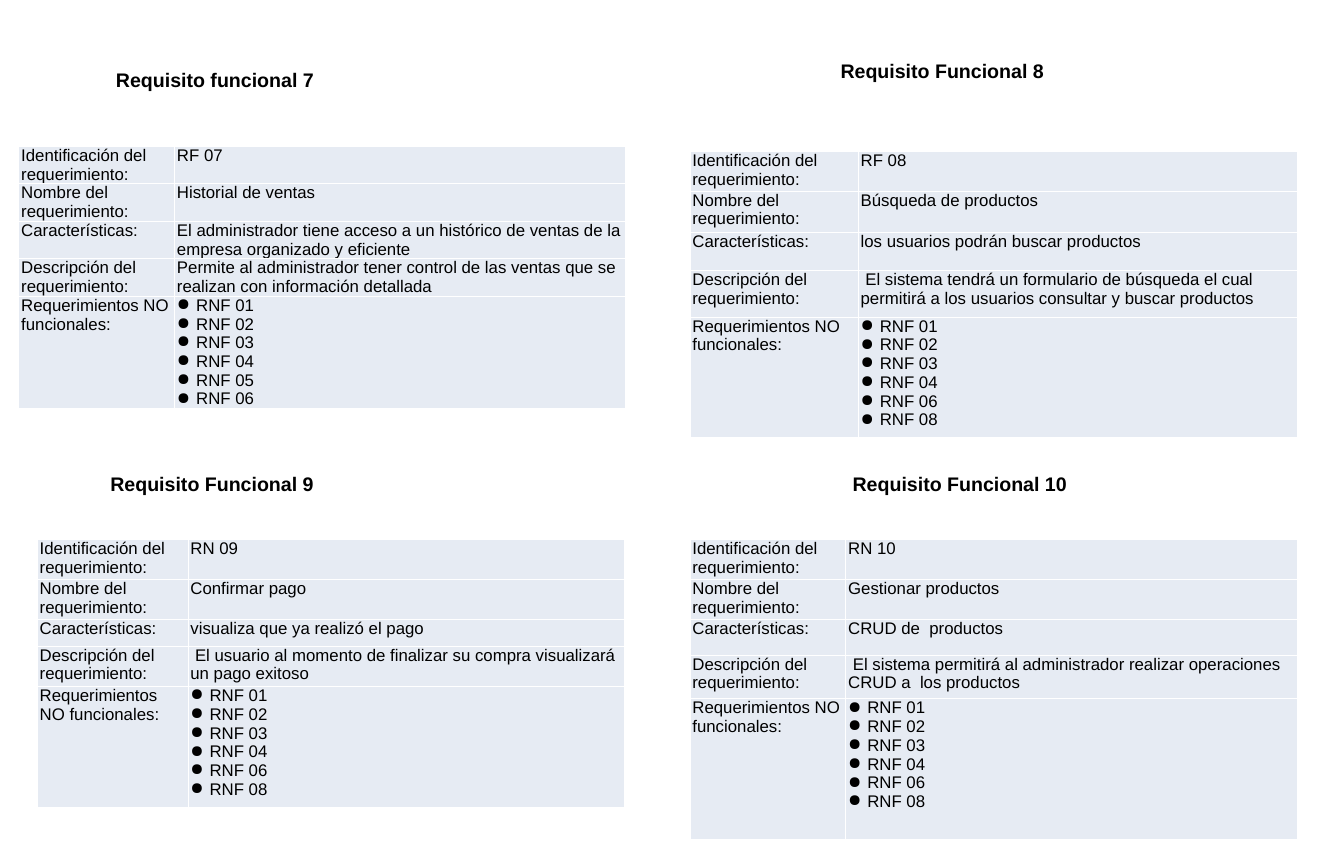
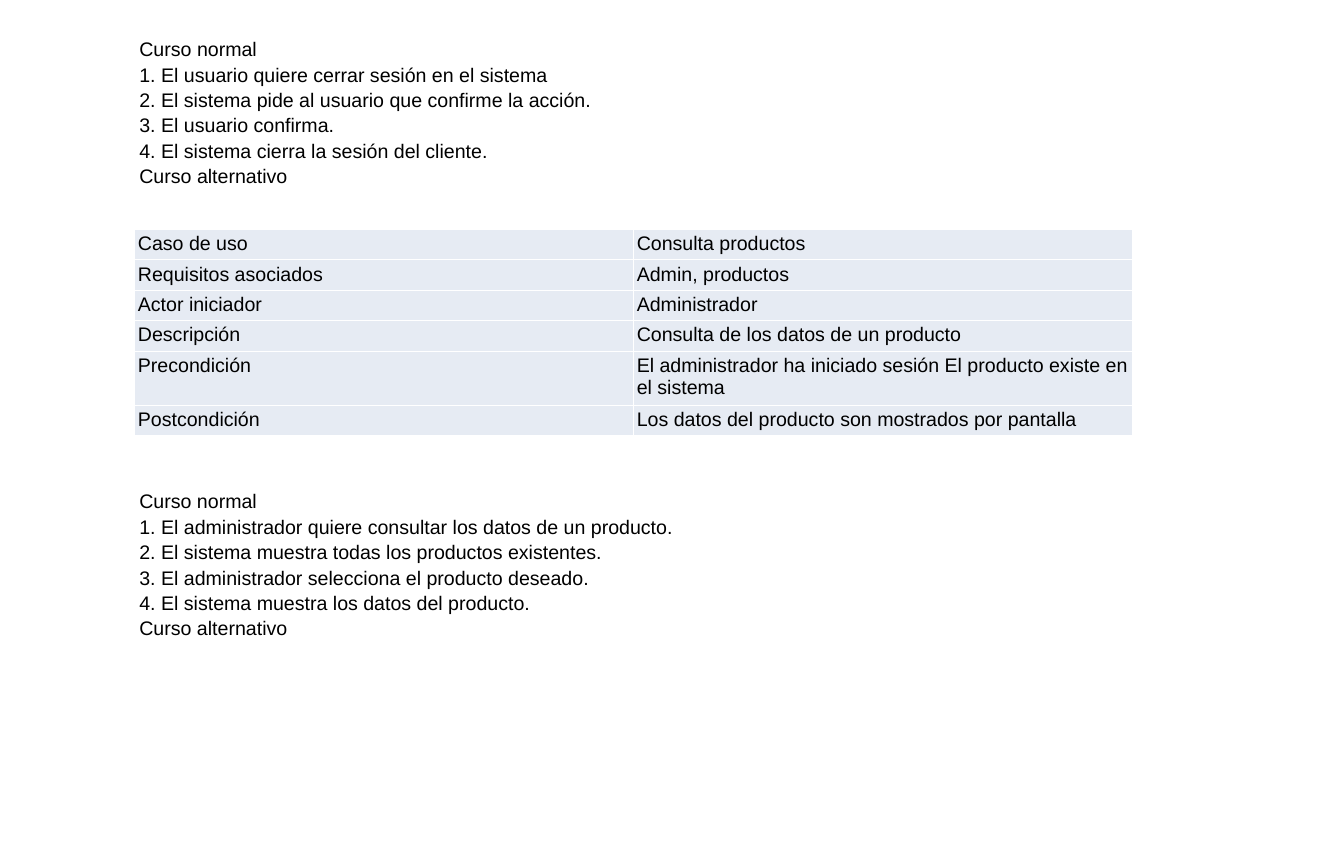
from lxml import etree
from pptx import Presentation
from pptx import util as u
from pptx.dml.color import RGBColor
from pptx.enum import text
from pptx.oxml import ns

WIDTH, HEIGHT = 26.67, 17.22
FONT, INK, CELL, RULE = "Arial", "000000", "E6EBF3", "FFFFFF"
TITLE_ONLY, BLANK = 5, 6
LABELS = ["Identificación del requerimiento:", "Nombre del requerimiento:", "Características:",
          "Descripción del requerimiento:", "Requerimientos NO funcionales:"]
BULLET_INDENT = u.Inches(0.38)

REQUIREMENTS = [
    dict(heading="Requisito funcional 7", heading_at=(8.25, 7.55), at=(1.39, 16.84),
         cols=(11.59, 33.56), rows=(4.3, 4.3, 4.3, 4.3, 12.95), rnf=(1, 2, 3, 4, 5, 6),
         values=["RF 07", "Historial de ventas",
                 "El administrador tiene acceso a un histórico de ventas de la empresa organizado y eficiente",
                 "Permite al administrador tener control de las ventas que se realizan con información detallada"]),
    dict(heading="Requisito Funcional 8", heading_at=(62.17, 6.5), at=(51.33, 17.42),
         cols=(12.52, 32.7), rows=(4.59, 4.76, 4.36, 5.4, 13.9), rnf=(1, 2, 3, 4, 6, 8),
         values=["RF 08", "Búsqueda de productos", "los usuarios podrán buscar productos",
                 " El sistema tendrá un formulario de búsqueda el cual permitirá a los usuarios "
                 "consultar y buscar productos"]),
    dict(heading="Requisito Funcional 9", heading_at=(7.84, 54.12), at=(2.77, 62.14),
         cols=(11.21, 32.51), rows=(4.6, 4.65, 3.02, 4.7, 13.94), rnf=(1, 2, 3, 4, 6, 8),
         values=["RN 09", "Confirmar pago", "visualiza que ya realizó el pago",
                 " El usuario al momento de finalizar su compra visualizará un pago exitoso"]),
    dict(heading="Requisito Funcional 10", heading_at=(63.07, 54.12), at=(51.33, 62.14),
         cols=(11.59, 33.63), rows=(4.6, 4.65, 4.07, 5.05, 16.2), rnf=(1, 2, 3, 4, 6, 8),
         values=["RN 10", "Gestionar productos", "CRUD de  productos",
                 " El sistema permitirá al administrador realizar operaciones CRUD a  los productos"]),
]

LOGOUT_STEPS = ["Curso normal", "1. El usuario quiere cerrar sesión en el sistema",
                "2. El sistema pide al usuario que confirme la acción.", "3. El usuario confirma.",
                "4. El sistema cierra la sesión del cliente.", "Curso alternativo"]
QUERY_STEPS = ["Curso normal", "1. El administrador quiere consultar los datos de un producto.",
               "2. El sistema muestra todas los productos existentes.",
               "3. El administrador selecciona el producto deseado.",
               "4. El sistema muestra los datos del producto.", "Curso alternativo"]
USE_CASE = [
    ("Caso de uso", "Consulta productos"),
    ("Requisitos asociados", "Admin, productos"),
    ("Actor iniciador", "Administrador"),
    ("Descripción", "Consulta de los datos de un producto"),
    ("Precondición", "El administrador ha iniciado sesión El producto existe en el sistema"),
    ("Postcondición", "Los datos del producto son mostrados por pantalla"),
]


def px(share):
    """Return a percentage of the slide width as a length."""
    return u.Inches(WIDTH * share / 100)


def py(share):
    """Return a percentage of the slide height as a length."""
    return u.Inches(HEIGHT * share / 100)


def color(value):
    """Turn a hex string into a colour."""
    return RGBColor.from_string(value)


def add_bullet(p):
    """Give a paragraph a round bullet with a hanging indent."""
    pPr = p._p.get_or_add_pPr()
    pPr.set("marL", str(BULLET_INDENT))
    pPr.set("indent", str(-BULLET_INDENT))
    etree.SubElement(pPr, ns.qn("a:buChar")).set("char", "●")


def write(tf, content, size=28, bold=False, spacing=None, bullets=False):
    """Fill a text frame with one paragraph per line."""
    lines = [content] if isinstance(content, str) else content
    for i, line in enumerate(lines):
        p = tf.paragraphs[0] if i == 0 else tf.add_paragraph()
        p.alignment = text.PP_ALIGN.LEFT
        if spacing:
            p.line_spacing = spacing
        if bullets:
            add_bullet(p)
        r = p.add_run()
        r.text = line
        r.font.name, r.font.size, r.font.bold = FONT, u.Pt(size), bold
        r.font.color.rgb = color(INK)


def add_text(s, content, at, size, sp=None, **fmt):
    """Place text in a new box or in the given placeholder."""
    box = (px(at[0]), py(at[1]), px(size[0]), py(size[1]))
    if sp is None:
        sp = s.shapes.add_textbox(*box)
    else:
        sp.left, sp.top, sp.width, sp.height = box
    tf = sp.text_frame
    tf.word_wrap = True
    tf.auto_size = text.MSO_AUTO_SIZE.NONE
    tf.vertical_anchor = text.MSO_ANCHOR.TOP
    write(tf, content, **fmt)


def set_borders(cell):
    """Draw a thin rule on the four sides of a cell."""
    tcPr = cell._tc.get_or_add_tcPr()
    for i, side in enumerate(("lnL", "lnR", "lnT", "lnB")):
        ln = etree.Element(ns.qn(f"a:{side}"), w=str(u.Pt(1)))
        fill = etree.SubElement(ln, ns.qn("a:solidFill"))
        etree.SubElement(fill, ns.qn("a:srgbClr")).set("val", RULE)
        tcPr.insert(i, ln)


def add_grid(s, data, at, cols, rows, size, inset):
    """Add a plain table; a list in a cell becomes bullets."""
    frame = s.shapes.add_table(len(rows), len(cols), px(at[0]), py(at[1]),
                               px(sum(cols)), py(sum(rows)))
    table = frame.table
    table.first_row = table.horz_banding = False
    for column, width in zip(table.columns, cols):
        column.width = px(width)
    for row, height, contents in zip(table.rows, rows, data):
        row.height = py(height)
        for cell, content in zip(row.cells, contents):
            cell.margin_left, cell.margin_right = u.Inches(inset[0]), u.Inches(inset[0])
            cell.margin_top, cell.margin_bottom = u.Inches(inset[1]), u.Inches(inset[1])
            cell.fill.solid()
            cell.fill.fore_color.rgb = color(CELL)
            set_borders(cell)
            write(cell.text_frame, content, size=size, bullets=isinstance(content, list))


def add_requirement(s, req, sp=None):
    """Add a heading and its requirement table."""
    add_text(s, req["heading"], req["heading_at"], (18, 3.31), sp=sp, bold=True)
    values = req["values"] + [[f"RNF {n:02}" for n in req["rnf"]]]
    add_grid(s, zip(LABELS, values), req["at"], req["cols"], req["rows"], 24, (0.05, 0))


def requirements_slide(prs):
    """Build the slide with four requirement tables."""
    s = prs.slides.add_slide(prs.slide_layouts[TITLE_ONLY])
    for i, req in enumerate(REQUIREMENTS):
        add_requirement(s, req, sp=s.shapes.title if i == 0 else None)


def use_case_slide(prs):
    """Build the slide with a use case between two lists of steps."""
    s = prs.slides.add_slide(prs.slide_layouts[BLANK])
    left = 10
    add_text(s, LOGOUT_STEPS, (left, 3.77), (50, 17), spacing=1.08)
    add_grid(s, USE_CASE, (left, 26.42), (37.12, 37.12),
             (3.51, 3.51, 3.51, 3.51, 6.21, 3.51), 28, (0.07, 0.07))
    add_text(s, QUERY_STEPS, (left, 55.87), (41.36, 17), spacing=1.08)


def main():
    """Build and save the presentation."""
    prs = Presentation()
    prs.slide_width, prs.slide_height = u.Inches(WIDTH), u.Inches(HEIGHT)
    requirements_slide(prs)
    use_case_slide(prs)
    prs.save("out.pptx")


if __name__ == "__main__":
    main()
